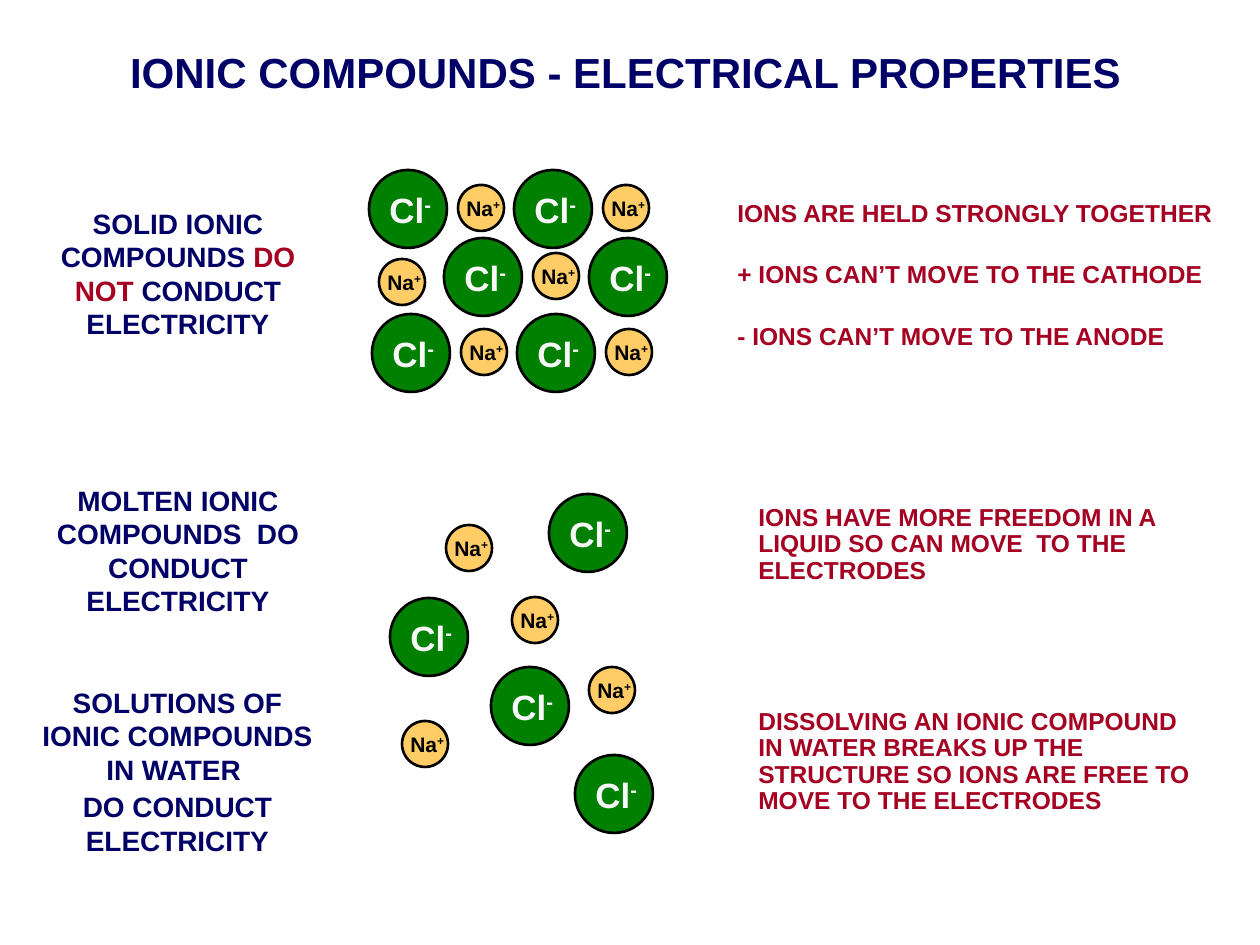
from pptx import Presentation
from pptx.dml.color import RGBColor
from pptx.enum.shapes import MSO_SHAPE
from pptx.enum.text import MSO_ANCHOR, PP_ALIGN
from pptx.util import Pt

SCALE = 914400 / 126  # EMU per px

THEME = {
    "font": "Arial",
    "navy": "000066", "red": "A50021", "black": "000000", "white": "F8F8F8",
    "green": "008000", "amber": "FFCC66",
    "title": 24, "statement": 16, "reason": 14, "chloride": 20, "sodium": 12,
    "outline": 1.5,
}

# Content: each paragraph is a list of (text, colour) spans
TITLE = "IONIC COMPOUNDS - ELECTRICAL PROPERTIES"
TITLE_AREA = (105, 40, 1041, 63)

STATEMENTS = [
    ((44, 200, 268, 147), [[("SOLID IONIC COMPOUNDS ", "navy"), ("DO NOT", "red"),
                            (" CONDUCT ELECTRICITY", "navy")]]),
    ((44, 477, 268, 147), [[("MOLTEN IONIC COMPOUNDS  DO CONDUCT ELECTRICITY", "navy")]]),
    ((21, 679, 313, 184), [[("SOLUTIONS OF IONIC COMPOUNDS IN WATER ", "navy")],
                           [("DO CONDUCT ELECTRICITY", "navy")]]),
]

REASONS = [
    ((725, 195, 505, 159), ["IONS ARE HELD STRONGLY TOGETHER",
                            "+ IONS CAN’T MOVE TO THE CATHODE",
                            "- IONS CAN’T MOVE TO THE ANODE"]),
    ((746, 499, 485, 92), ["IONS HAVE MORE FREEDOM IN A LIQUID SO CAN MOVE  TO THE ELECTRODES"]),
    ((746, 703, 464, 118), ["DISSOLVING AN IONIC COMPOUND IN WATER BREAKS UP THE STRUCTURE "
                            "SO IONS ARE FREE TO MOVE TO THE ELECTRODES"]),
]

# Label areas are relative to the ion's top left corner
IONS = {
    "Cl": {"charge": "-", "diameter": 78, "fill": "green", "colour": "white",
           "size": "chloride", "label": (8, 12, 74, 55)},
    "Na": {"charge": "+", "diameter": 46, "fill": "amber", "colour": "black",
           "size": "sodium", "label": (-4, 4, 63, 38)},
}

# Solid: rows of alternating ions, from the first chloride's corner
LATTICE_ROWS = [
    (369, 170, ["Cl", "Na", "Cl", "Na"]),
    (444, 238, ["Cl", "Na", "Cl"]),
    (372, 314, ["Cl", "Na", "Cl", "Na"]),
]
PAIR_PITCH = 145
SODIUM_OFFSET = (89, 15)

SINGLE_IONS = [
    ("Na", 379, 259),  # left edge of the solid
    ("Na", 446, 525), ("Cl", 549, 494), ("Na", 512, 597), ("Cl", 575, 755),
    ("Na", 402, 721), ("Cl", 390, 598), ("Na", 589, 667), ("Cl", 491, 667),
]


def emu(*lengths):
    return [round(length * SCALE) for length in lengths]


def write_span(para, text, *, colour, size, superscript=False):
    span = para.add_run()
    span.text = text
    span.font.name = THEME["font"]
    span.font.size = Pt(THEME[size])
    span.font.bold = True
    span.font.color.rgb = RGBColor.from_string(THEME[colour])
    if superscript:
        span.font._element.set("baseline", "30000")


def write_text(frame, paragraphs, *, size, align=PP_ALIGN.LEFT, wrap=True,
               line_spacing=1.0, gap=0):
    """Fill a frame; a span is (text, colour), or (text, colour, True) when raised."""
    frame.word_wrap = wrap
    frame.vertical_anchor = MSO_ANCHOR.TOP
    for index, spans in enumerate(paragraphs):
        para = frame.add_paragraph() if index else frame.paragraphs[0]
        para.alignment = align
        para.line_spacing = line_spacing
        para.space_before = Pt(0)
        para.space_after = Pt(gap)
        for text, colour, *raised in spans:
            write_span(para, text, colour=colour, size=size, superscript=bool(raised))


def add_text(shapes, area, paragraphs, **text_format):
    box = shapes.add_textbox(*emu(*area))
    write_text(box.text_frame, paragraphs, **text_format)


def add_ion(page, symbol, left, top):
    ion = IONS[symbol]
    group = page.shapes.add_group_shape()
    ball = group.shapes.add_shape(
        MSO_SHAPE.OVAL, *emu(left, top, ion["diameter"], ion["diameter"]))
    ball.shadow.inherit = False
    ball.fill.solid()
    ball.fill.fore_color.rgb = RGBColor.from_string(THEME[ion["fill"]])
    ball.line.color.rgb = RGBColor.from_string(THEME["black"])
    ball.line.width = Pt(THEME["outline"])
    dx, dy, width, height = ion["label"]
    spans = [(symbol, ion["colour"]), (ion["charge"], ion["colour"], True)]
    add_text(group.shapes, (left + dx, top + dy, width, height), [spans],
             size=ion["size"], wrap=False)


def lattice_ions():
    for left, top, symbols in LATTICE_ROWS:
        for index, symbol in enumerate(symbols):
            dx, dy = SODIUM_OFFSET if symbol == "Na" else (0, 0)
            yield symbol, left + index // 2 * PAIR_PITCH + dx, top + dy


def main():
    deck = Presentation()
    deck.slide_width, deck.slide_height = emu(1260, 945)
    page = deck.slides.add_slide(deck.slide_layouts[5])

    # Title
    title = page.shapes.title
    title.left, title.top, title.width, title.height = emu(*TITLE_AREA)
    write_text(title.text_frame, [[(TITLE, "navy")]], size="title", align=PP_ALIGN.CENTER)

    # Statements on the left
    for area, paragraphs in STATEMENTS:
        add_text(page.shapes, area, paragraphs, size="statement",
                 align=PP_ALIGN.CENTER, gap=2)

    # Ions in the middle
    for symbol, left, top in [*lattice_ions(), *SINGLE_IONS]:
        add_ion(page, symbol, left, top)

    # Reasons on the right
    for area, lines in REASONS:
        add_text(page.shapes, area, [[(line, "red")] for line in lines],
                 size="reason", line_spacing=0.9, gap=20)

    deck.save("out.pptx")


if __name__ == "__main__":
    main()
